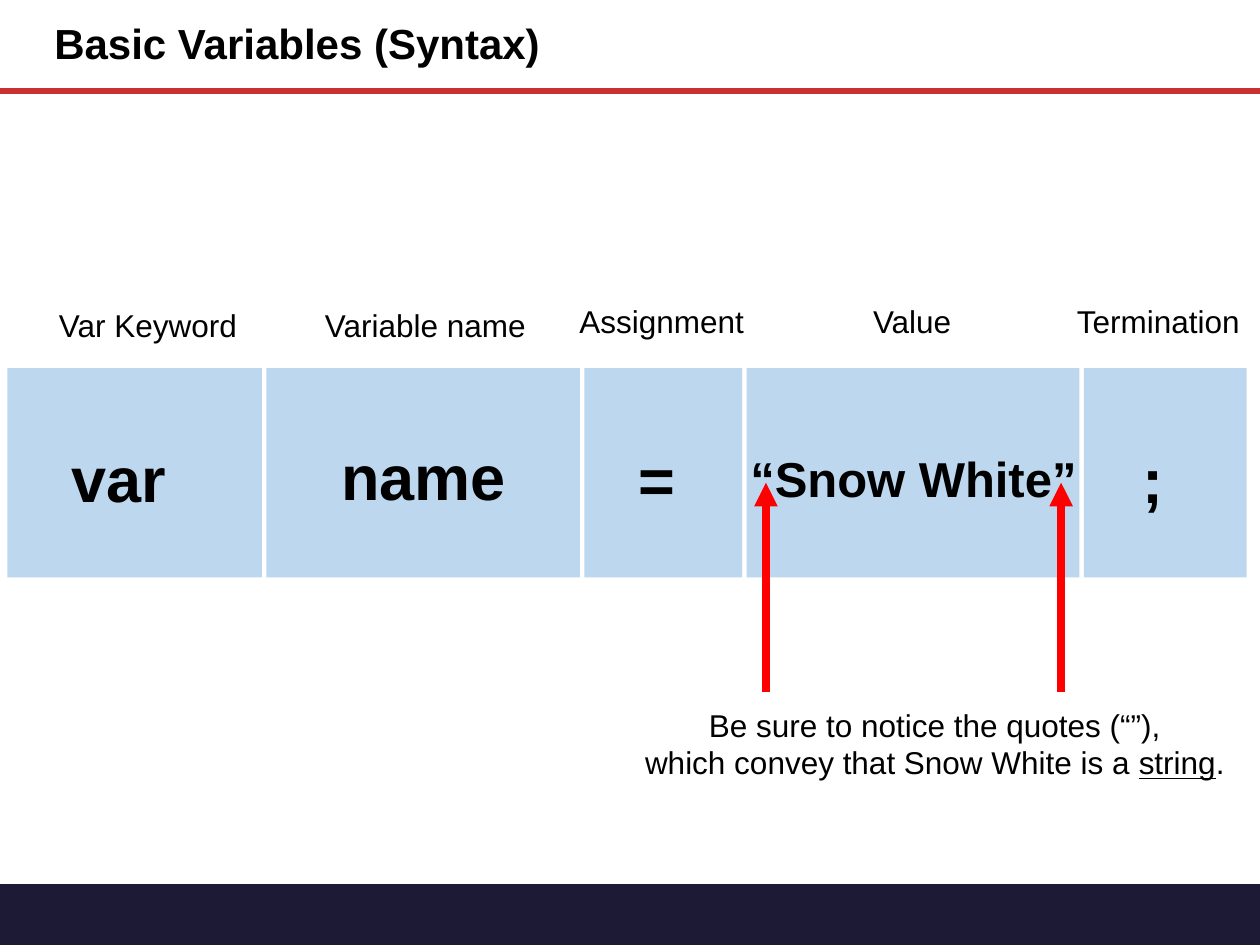
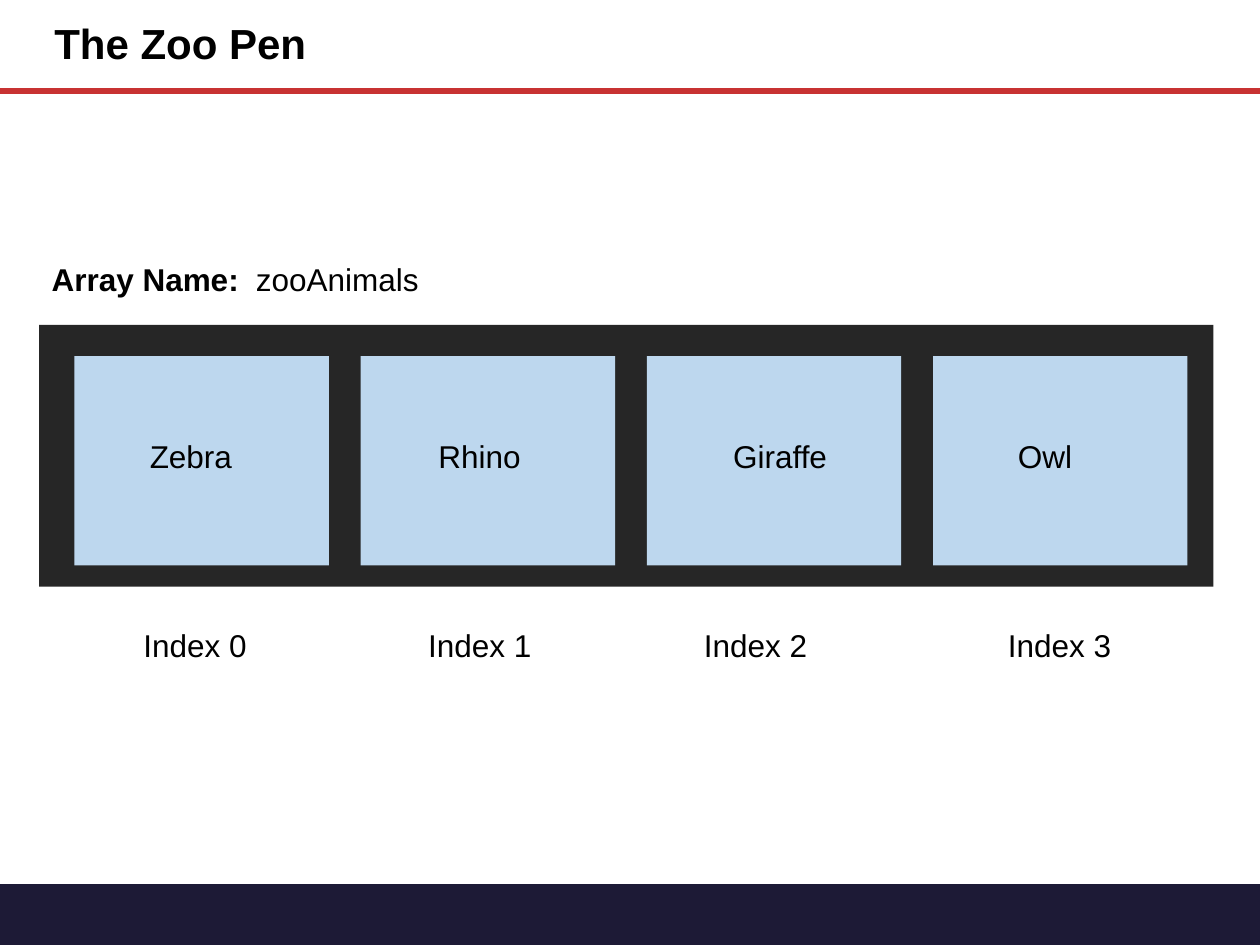
from lxml import etree
from pptx import Presentation
from pptx.dml.color import RGBColor
from pptx.enum.shapes import MSO_CONNECTOR, MSO_SHAPE
from pptx.enum.text import MSO_ANCHOR, MSO_AUTO_SIZE, PP_ALIGN
from pptx.oxml.ns import qn
from pptx.util import Cm, Pt

LEFT, CENTER = PP_ALIGN.LEFT, PP_ALIGN.CENTER
MIDDLE, NO_FIT = MSO_ANCHOR.MIDDLE, MSO_AUTO_SIZE.NONE
RECTANGLE, PROCESS = MSO_SHAPE.RECTANGLE, MSO_SHAPE.FLOWCHART_PROCESS
STRAIGHT = MSO_CONNECTOR.STRAIGHT

# Content: lengths in centimetres
SYNTAX_TITLE = "Basic Variables (Syntax)"
# label, label left, top, width; code, code left, top, width, size; block width
SYNTAX_PARTS = [
    ("Var Keyword", 0.94, 6.05, 4.14, "var", 1.19, 8.74, 3.94, 36, 5.13),
    ("Variable name", 6.3, 6.05, 4.6, "name", 6.63, 8.69, 5.31, 36, 6.32),
    ("Assignment", 11.43, 5.97, 3.86, "=", 12.62, 8.76, 2.36, 36, 3.18),
    ("Value", 17.35, 5.97, 2.11, "“Snow White”", 14.63, 8.92, 7.57, 28, 6.71),
    ("Termination", 21.46, 5.97, 3.84, ";", 22.78, 8.76, 2.36, 36, 3.28),
]
QUOTE_NOTE = [
    [("Be sure to notice the quotes (“”),", {})],
    [("which convey that Snow White is a ", {}),
     ("string", {"underline": True}), (".", {})],
]
QUOTE_XS = (15.44, 21.39)

ZOO_TITLE = "The Zoo Pen"
ARRAY_NAME = [[("Array Name:\t", {"bold": True}), ("zooAnimals", {})]]
# animal, animal left, index left
ANIMALS = [("Zebra", 2.77, 2.64), ("Rhino", 8.59, 8.38),
           ("Giraffe", 14.53, 13.94), ("Owl", 20.27, 20.07)]

# Shared look
COLOURS = {"text": "000000", "rule": "C83232", "footer": "1D1A36",
           "block": "BDD7EE", "pen": "262626", "arrow": "FF0000"}
FONT = "Arial"
WIDTH, HEIGHT = 25.4, 19.05
RULE_Y, FOOTER_Y = 1.83, 17.83
BLOCK_HEIGHT = 4.22


def colour(name):
    return RGBColor.from_string(COLOURS[name])


def write_text(frame, content, size=18, bold=False, align=LEFT, wrap=False,
               spacing=None, tab=None):
    """Fill a frame with a string or with paragraphs of (text, style) spans."""
    frame.word_wrap = wrap
    paragraphs = [[(content, {})]] if isinstance(content, str) else content
    for number, spans in enumerate(paragraphs):
        para = frame.add_paragraph() if number else frame.paragraphs[0]
        para.alignment = align
        if spacing:
            para.line_spacing = spacing
        if tab:
            stops = etree.SubElement(para._p.get_or_add_pPr(), qn("a:tabLst"))
            etree.SubElement(stops, qn("a:tab"), pos=str(Cm(tab)), algn="l")
        for words, style in spans:
            span = para.add_run()
            span.text = words
            span.font.name = FONT
            span.font.size = Pt(size)
            span.font.bold = style.get("bold", bold)
            span.font.underline = style.get("underline", False)
            span.font.color.rgb = colour("text")


def add_text(page, content, left, top, width, height=1.02, **style):
    box = page.shapes.add_textbox(Cm(left), Cm(top), Cm(width), Cm(height))
    write_text(box.text_frame, content, **style)


def add_block(page, left, top, width, height, fill, kind=RECTANGLE):
    block = page.shapes.add_shape(kind, Cm(left), Cm(top), Cm(width), Cm(height))
    block.shadow.inherit = False
    block.fill.solid()
    block.fill.fore_color.rgb = colour(fill)
    block.line.fill.background()


def add_line(page, start, end, line_colour, weight, arrow=False):
    line = page.shapes.add_connector(STRAIGHT, *map(Cm, start + end))
    line.line.color.rgb = colour(line_colour)
    line.line.width = Pt(weight)
    if arrow:
        etree.SubElement(line.line._get_or_add_ln(), qn("a:tailEnd"), type="triangle")
    etree.SubElement(line._element.spPr, qn("a:effectLst"))


def add_page(deck, heading):
    """Start a page with the title, red rule and footer band."""
    page = deck.slides.add_slide(deck.slide_layouts[5])
    add_block(page, 0, FOOTER_Y, WIDTH, HEIGHT - FOOTER_Y, "footer", PROCESS)
    add_line(page, (0, RULE_Y), (WIDTH, RULE_Y), "rule", 3.25)
    title = page.shapes.title
    title.left, title.top, title.width, title.height = map(Cm, (0.84, 0, 15.19, RULE_Y))
    frame = title.text_frame
    frame.auto_size = NO_FIT
    frame.vertical_anchor = MIDDLE
    write_text(frame, heading, size=24, bold=True, wrap=True, spacing=0.9)
    return page


def build_syntax(deck):
    page = add_page(deck, SYNTAX_TITLE)
    # Blocks follow each other with an equal gap
    left, gap = 0.15, 0.09
    for *_, width in SYNTAX_PARTS:
        add_block(page, left, 7.42, width, BLOCK_HEIGHT, "block")
        left += width + gap
    # Arrows to the quotes, under the code words
    for x in QUOTE_XS:
        add_line(page, (x, 13.94), (x, 9.73), "arrow", 4.5, arrow=True)
    for (label, label_left, label_top, label_width,
         code, code_left, code_top, code_width, size, _) in SYNTAX_PARTS:
        add_text(page, label, label_left, label_top, label_width)
        add_text(page, code, code_left, code_top, code_width, 1.8, size=size,
                 bold=True, wrap=True, align=CENTER if size == 28 else LEFT)
    add_text(page, QUOTE_NOTE, 12.7, 14.1, 12.29, 1.8, align=CENTER)


def build_zoo(deck):
    page = add_page(deck, ZOO_TITLE)
    add_text(page, ARRAY_NAME, 0.79, 5.11, 8, tab=4.12)
    add_block(page, 0.79, 6.55, 23.67, 5.28, "pen")
    # Four equally spaced cells
    first, pitch = 1.5, 5.77
    for index, (animal, animal_left, index_left) in enumerate(ANIMALS):
        add_block(page, first + index * pitch, 7.18, 5.13, BLOCK_HEIGHT, "block")
        add_text(page, animal, animal_left, 8.69, 2.4)
        add_text(page, f"Index {index}", index_left, 12.5, 2.62)


def main():
    deck = Presentation()
    deck.slide_width, deck.slide_height = Cm(WIDTH), Cm(HEIGHT)
    build_syntax(deck)
    build_zoo(deck)
    deck.save("out.pptx")


if __name__ == "__main__":
    main()
